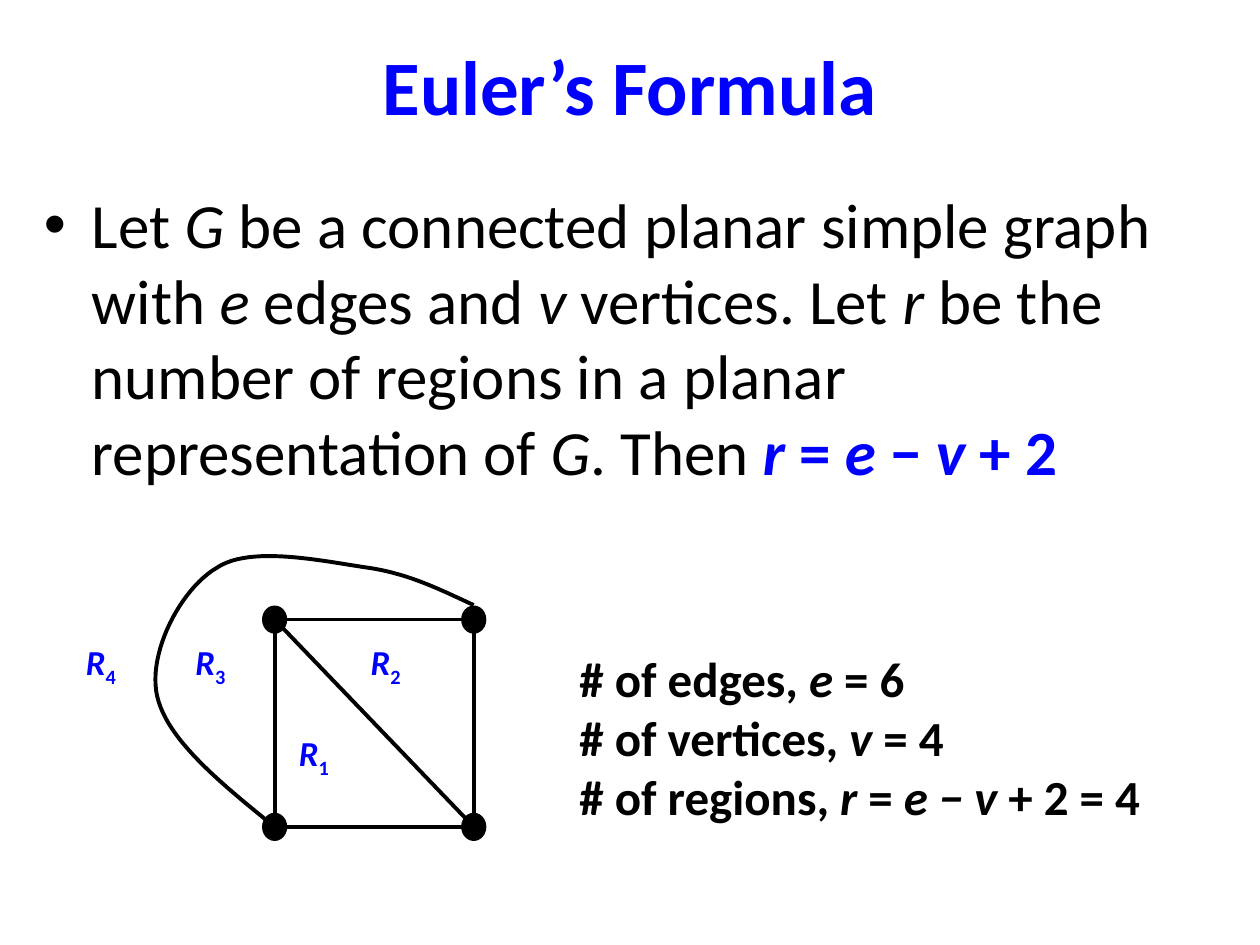
from lxml import etree
from pptx import Presentation
from pptx.dml.color import RGBColor
from pptx.enum.shapes import MSO_CONNECTOR, MSO_SHAPE
from pptx.enum.text import MSO_ANCHOR, PP_ALIGN
from pptx.oxml.ns import qn
from pptx.util import Inches, Pt

STRAIGHT = MSO_CONNECTOR.STRAIGHT
OVAL, SQUARE = MSO_SHAPE.OVAL, MSO_SHAPE.RECTANGLE
MIDDLE, TOP = MSO_ANCHOR.MIDDLE, MSO_ANCHOR.TOP
CENTER, LEFT = PP_ALIGN.CENTER, PP_ALIGN.LEFT

WIDTH, HEIGHT = Inches(10), Inches(7.5)
COLUMNS, ROWS = 40, 30
BLACK, BLUE = "000000", "0000FF"
STROKE = 2.25
CURVE_STEPS = 24

STATEMENT = [
    ("Let ", ""), ("G", "i"), (" be a connected planar simple graph with ", ""),
    ("e", "i"), (" edges and ", ""), ("v", "i"), (" vertices. Let ", ""),
    ("r", "i"), (" be the number of regions in a planar representation of ", ""),
    ("G", "i"), (". Then ", ""), ("r", "bic"), (" = ", "bc"), ("e ", "bic"),
    ("− ", "bc"), ("v", "bic"), (" + 2", "bc"),
]
COUNTS = [
    [("# of edges, ", "b"), ("e", "bi"), (" = 6", "b")],
    [("# of vertices, ", "b"), ("v", "bi"), (" = 4", "b")],
    [("# of regions, ", "b"), ("r", "bi"), (" = ", "b"), ("e − v", "bi"),
     (" + 2 = 4", "b")],
]
VERTICES = [(0, 0), (0, 1), (1, 1), (1, 0)]
OUTER_EDGE = [
    (1, -0.07), (0.84, -0.14), (0.68, -0.22), (0.47, -0.25),
    (0.25, -0.28), (-0.12, -0.36), (-0.29, -0.25),
    (-0.47, -0.15), (-0.64, 0.16), (-0.59, 0.37),
    (-0.54, 0.58), (-0.27, 0.79), (0, 1),
]
REGIONS = {"4": (-1.01, 0.07), "3": (-0.46, 0.07), "2": (0.42, 0.07), "1": (0.06, 0.51)}


def color(value):
    """Turn a hex string into a colour."""
    return RGBColor.from_string(value)


def grid(column, row, columns, rows):
    """Turn grid cells into a box of left, top, width and height."""
    return (int(WIDTH * column / COLUMNS), int(HEIGHT * row / ROWS),
            int(WIDTH * columns / COLUMNS), int(HEIGHT * rows / ROWS))


def add_runs(paragraph, runs, size):
    """Add runs whose marks mean b bold, i italic, c blue, s subscript."""
    for wording, marks in runs:
        run = paragraph.add_run()
        run.text = wording
        font = run.font
        font.name, font.size = "Calibri", Pt(size)
        font.bold, font.italic = "b" in marks, "i" in marks
        font.color.rgb = color(BLUE if "c" in marks else BLACK)
        if "s" in marks:
            run._r.get_or_add_rPr().set("baseline", "-25000")


def add_text(slide, box, lines, size, align=LEFT, anchor=TOP, wrap=True):
    """Place lines of runs in a box and return the paragraphs."""
    frame = slide.shapes.add_textbox(*box).text_frame
    frame.word_wrap, frame.vertical_anchor = wrap, anchor
    for index, runs in enumerate(lines):
        paragraph = frame.add_paragraph() if index else frame.paragraphs[0]
        paragraph.alignment = align
        add_runs(paragraph, runs, size)
    return frame.paragraphs


def add_statement(slide, box):
    """Place the theorem as one bulleted paragraph."""
    theorem = add_text(slide, box, [STATEMENT], 36)[0]
    properties = theorem._p.get_or_add_pPr()
    indent = Inches(0.38)
    properties.set("marL", str(indent))
    properties.set("indent", str(-indent))
    etree.SubElement(properties, qn("a:buFont")).set("typeface", "Arial")
    etree.SubElement(properties, qn("a:buChar")).set("char", "•")


def outline(shape, width, fill=None):
    """Give a shape a black line and an optional fill."""
    shape.shadow.inherit = False
    shape.line.color.rgb, shape.line.width = color(BLACK), Pt(width)
    if fill:
        shape.fill.solid()
        shape.fill.fore_color.rgb = color(fill)
    else:
        shape.fill.background()


def bezier_points(controls):
    """Sample a chain of cubic curves that share their end points."""
    points = [controls[0]]
    for start in range(0, len(controls) - 1, 3):
        a, b, c, d = controls[start:start + 4]
        for step in range(1, CURVE_STEPS + 1):
            t = step / CURVE_STEPS
            s = 1 - t
            points.append(tuple(
                s**3 * p + 3 * s * s * t * q + 3 * s * t * t * u + t**3 * w
                for p, q, u, w in zip(a, b, c, d)))
    return points


def add_graph(slide, box):
    """Draw the planar graph around a square box and label its regions."""
    left, top, width, height = box
    shapes = slide.shapes

    def spot(point):
        return int(left + point[0] * width), int(top + point[1] * height)

    outline(shapes.add_shape(SQUARE, *box), STROKE)
    diagonal = shapes.add_connector(STRAIGHT, *spot((0, 0)), *spot((1, 1)))
    diagonal.line.color.rgb, diagonal.line.width = color(BLACK), Pt(STROKE)
    etree.SubElement(diagonal._element.spPr, qn("a:effectLst"))

    dot_width, dot_height = int(0.12 * width), int(0.13 * height)
    for vertex in VERTICES:
        x, y = spot(vertex)
        dot = shapes.add_shape(OVAL, x - dot_width // 2, y - dot_height // 2,
                               dot_width, dot_height)
        outline(dot, 0.75, BLACK)

    start, *rest = map(spot, bezier_points(OUTER_EDGE))
    builder = shapes.build_freeform(*start)
    builder.add_line_segments(rest, close=False)
    outline(builder.convert_to_shape(), STROKE)

    for number, corner in REGIONS.items():
        label_box = (*spot(corner), int(0.3 * width), int(0.25 * height))
        add_text(slide, label_box, [[("R", "bic"), (number, "bcs")]], 20, wrap=False)


def main():
    """Build and save the slide."""
    deck = Presentation()
    deck.slide_width, deck.slide_height = WIDTH, HEIGHT
    slide = deck.slides.add_slide(deck.slide_layouts[6])
    add_text(slide, grid(2, 0.7, 36, 4), [[("Euler’s Formula", "bc")]], 44, CENTER, MIDDLE)
    add_statement(slide, grid(1, 5.7, 37.3, 11.3))
    add_text(slide, grid(18, 20.4, 20.3, 6), COUNTS, 28)
    add_graph(slide, grid(8.72, 19.67, 6.32, 6.58))
    deck.save("out.pptx")


if __name__ == "__main__":
    main()
